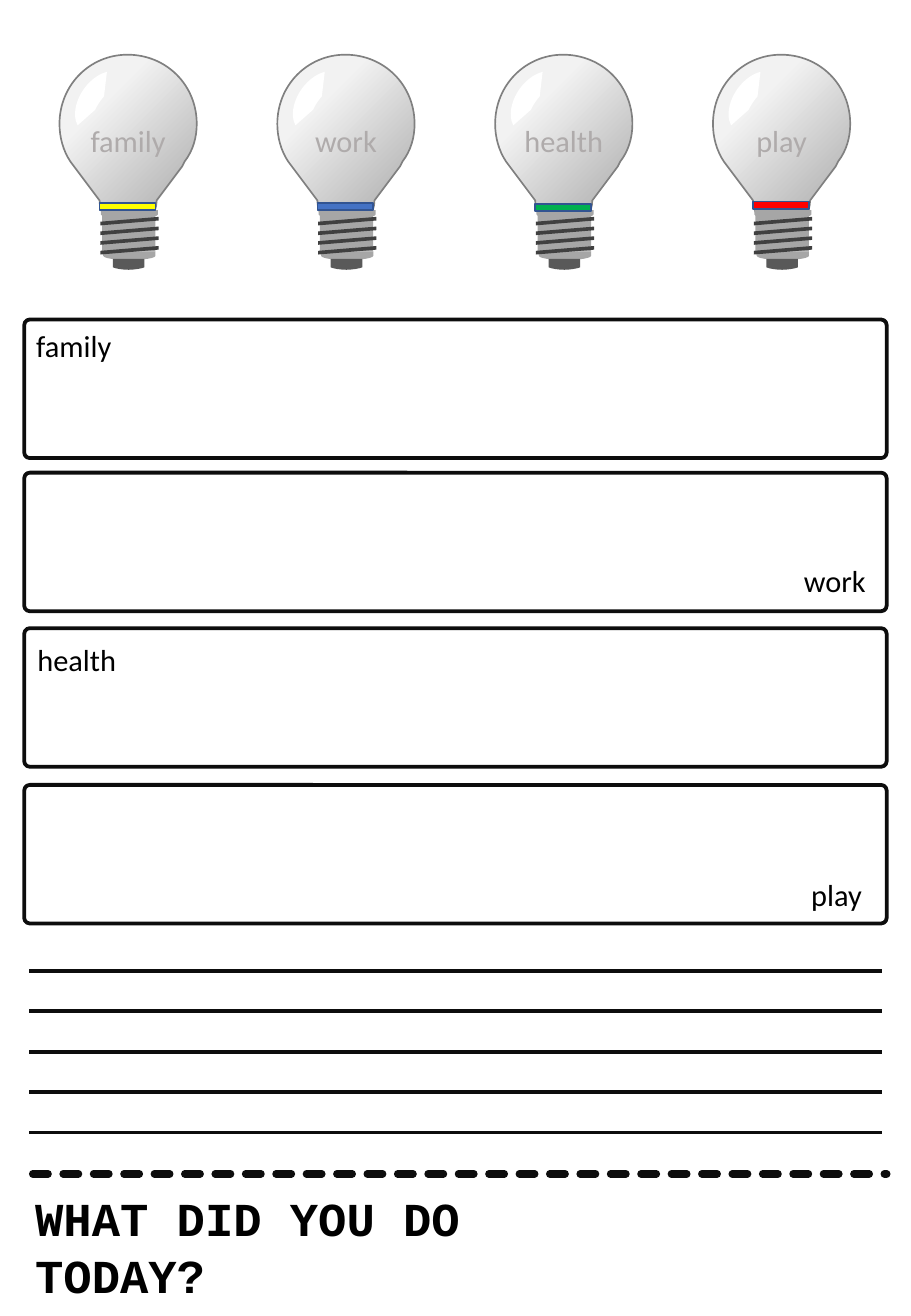
from dataclasses import dataclass

from lxml.etree import SubElement
from pptx import Presentation
from pptx.dml.color import RGBColor
from pptx.enum.dml import MSO_LINE
from pptx.enum.shapes import MSO_CONNECTOR, MSO_SHAPE as Preset
from pptx.enum.text import MSO_ANCHOR, MSO_AUTO_SIZE as AutoSize, PP_ALIGN
from pptx.oxml.ns import qn
from pptx.util import Inches, Pt


@dataclass(frozen=True)
class Theme:
    ink: str = "0D0D0D"
    text: str = "000000"
    bulb_text: str = "AFABAB"
    glass_light: str = "F2F2F2"
    glass_dark: str = "A6A6A6"
    glass_edge: str = "808080"
    socket: str = "A6A6A6"
    thread: str = "404040"
    contact: str = "595959"
    shine: str = "FFFFFF"
    band_edge: str = "325491"
    label_font: str = "Calibri"
    title_font: str = "Courier New"
    label_size: int = 18
    title_size: int = 28


THEME = Theme()

# Name, band colour, band top
BULBS = [
    ("family", "FFFF00", 1.67),
    ("work", "4472C4", 1.67),
    ("health", "00B050", 1.68),
    ("play", "FF0000", 1.66),
]
FIRST_BULB, LAST_BULB, BULB_TOP = 0.49, 5.87, 0.45

# Box top, then label name, left, top, width
BOXES = [
    (2.63, "family", 0.20, 2.64, 0.83),
    (3.89, "work", 6.52, 4.58, 0.72),
    (5.17, "health", 0.21, 5.23, 0.86),
    (6.46, "play", 6.58, 7.16, 0.62),
]

# Outlines: a start point, then segments of one point (line) or three (curve)
GLASS_START = (0.56, 0)
GLASS = [
    [(0.88, 0), (1.13, 0.25), (1.13, 0.57)],
    [(1.13, 0.68), (1.1, 0.79), (1.03, 0.88)],
    [(1.01, 0.92)],
    [(0.8, 1.2)],
    [(0.8, 1.3), (0.74, 1.38), (0.65, 1.41)],
    [(0.48, 1.41)],
    [(0.39, 1.38), (0.33, 1.3), (0.33, 1.2)],
    [(0.09, 0.88)],
    [(0.03, 0.79), (0, 0.68), (0, 0.57)],
    [(0, 0.25), (0.25, 0), (0.56, 0)],
]
CONTACT_START = (0, 0)
CONTACT = [
    [(0.26, 0)],
    [(0.26, 0.07)],
    [(0.24, 0.08), (0.17, 0.09), (0.13, 0.09)],
    [(0.08, 0.09), (0.02, 0.08), (0, 0.07)],
]


def rgb(code):
    return RGBColor.from_string(code)


def spread(first, last, count):
    return [first + (last - first) * i / (count - 1) for i in range(count)]


def write(shape, words, color, font=THEME.label_font, size=THEME.label_size,
          bold=False, align=PP_ALIGN.LEFT):
    shape.text_frame.text = words
    paragraph = shape.text_frame.paragraphs[0]
    paragraph.alignment = align
    paragraph.line_spacing = 1.0
    for run in paragraph.runs:
        run.font.name = font
        run.font.size = Pt(size)
        run.font.bold = bold
        run.font.color.rgb = rgb(color)


def paint(shape, fill=None, edge=None, weight=1):
    shape.shadow.inherit = False
    if fill:
        shape.fill.solid()
        shape.fill.fore_color.rgb = rgb(fill)
    else:
        shape.fill.background()
    if edge:
        shape.line.color.rgb = rgb(edge)
        shape.line.width = Pt(weight)
    else:
        shape.line.fill.background()


def add_preset(parent, preset, left, top, width, height, fill=None, edge=None,
               weight=1, rotation=0, adjust=()):
    shape = parent.shapes.add_shape(
        preset, Inches(left), Inches(top), Inches(width), Inches(height))
    paint(shape, fill, edge, weight)
    shape.rotation = rotation
    for index, value in enumerate(adjust):
        shape.adjustments[index] = value
    return shape


def add_outline(parent, left, top, start, segments):
    def place(point):
        return Inches(left + point[0]), Inches(top + point[1])

    builder = parent.shapes.build_freeform(*place(start))
    builder.add_line_segments([place(p) for s in segments for p in s], close=True)
    outline = builder.convert_to_shape()
    # Merge the three steps of each curve into one Bezier segment
    steps = iter(list(outline._element.iter(qn("a:lnTo"))))
    for segment in segments:
        first, *others = [next(steps) for _ in segment]
        if others:
            first.tag = qn("a:cubicBezTo")
            for step in others:
                first.append(step[0])
                step.getparent().remove(step)
    return outline


def add_rule(slide, left, right, y, weight, dashed=False):
    rule = slide.shapes.add_connector(
        MSO_CONNECTOR.STRAIGHT, Inches(left), Inches(y), Inches(right), Inches(y))
    rule.line.color.rgb = rgb(THEME.ink)
    rule.line.width = Pt(weight)
    properties = rule._element.spPr
    if dashed:
        rule.line.dash_style = MSO_LINE.SQUARE_DOT
        properties.find(qn("a:ln")).set("cap", "rnd")
    SubElement(properties, qn("a:effectLst"))


def add_glass(bulb, left, top, name):
    glass = add_outline(bulb, left, top, GLASS_START, GLASS)
    paint(glass, edge=THEME.glass_edge)
    glass.fill.gradient()
    glass.fill.gradient_angle = 315
    shades = [(0.29, THEME.glass_light), (1.0, THEME.glass_dark)]
    for stop, (position, shade) in zip(glass.fill.gradient_stops, shades):
        stop.position = position
        stop.color.rgb = rgb(shade)
    frame = glass.text_frame
    frame.margin_left = frame.margin_right = 0
    frame.vertical_anchor = MSO_ANCHOR.MIDDLE
    write(glass, name, THEME.bulb_text, align=PP_ALIGN.CENTER)


def add_bulb(slide, left, top, name, band_color, band_top):
    bulb = slide.shapes.add_group_shape()
    add_glass(bulb, left, top, name)

    # Socket with rounded rims
    add_preset(bulb, Preset.RECTANGLE, left + 0.35, top + 1.32, 0.44, 0.3, THEME.socket)
    for rim_top, rim_length in ((1.08, 0.47), (1.44, 0.43)):
        add_preset(bulb, Preset.FLOWCHART_DELAY, left + 0.54, top + rim_top,
                   0.07, rim_length, THEME.socket, rotation=90)

    # Bottom contact
    paint(add_outline(bulb, left + 0.44, top + 1.68, CONTACT_START, CONTACT),
          THEME.contact)

    # Screw threads
    for turn in range(4):
        thread = add_preset(bulb, Preset.PARALLELOGRAM, left + 0.54,
                            top + 1.13 + 0.08 * turn, 0.07, 0.48, THEME.thread,
                            rotation=270, adjust=[0.57])
        thread._element.spPr.find(qn("a:xfrm")).set("flipH", "1")

    # Shine on the glass and coloured band
    add_preset(bulb, Preset.BLOCK_ARC, left + 0.07, top + 0.2, 0.58, 0.39,
               THEME.shine, rotation=305.8, adjust=[115.65, 198.67, 0.43])
    add_preset(bulb, Preset.RECTANGLE, left + 0.33, band_top, 0.46, 0.06,
               band_color, THEME.band_edge)


def add_label(slide, name, left, top, width):
    label = slide.shapes.add_textbox(
        Inches(left), Inches(top), Inches(width), Inches(0.4))
    label.text_frame.word_wrap = False
    label.text_frame.auto_size = AutoSize.SHAPE_TO_FIT_TEXT
    write(label, name, THEME.text)


def place_title(slide, words):
    title = slide.shapes.title
    title.left, title.top = Inches(0.19), Inches(9.74)
    title.width, title.height = Inches(3.87), Inches(1.04)
    title.text_frame.word_wrap = True
    title.text_frame.auto_size = AutoSize.SHAPE_TO_FIT_TEXT
    title.text_frame.vertical_anchor = MSO_ANCHOR.TOP
    write(title, words, THEME.text, THEME.title_font, THEME.title_size, bold=True)


def main():
    deck = Presentation()
    deck.slide_width, deck.slide_height = Inches(7.5), Inches(10.83)
    slide = deck.slides.add_slide(deck.slide_layouts[5])

    # Question below the dashed cut line
    place_title(slide, "WHAT DID YOU DO TODAY?")
    add_rule(slide, 0.27, 7.3, 9.66, 4.5, dashed=True)

    # Row of bulbs
    lefts = spread(FIRST_BULB, LAST_BULB, len(BULBS))
    for left, (name, band_color, band_top) in zip(lefts, BULBS):
        add_bulb(slide, left, BULB_TOP, name, band_color, band_top)

    # Writing boxes
    for box_top, name, left, top, width in BOXES:
        add_preset(slide, Preset.ROUNDED_RECTANGLE, 0.2, box_top, 7.1, 1.14,
                   edge=THEME.ink, weight=2.25, adjust=[0.04])
        add_label(slide, name, left, top, width)

    # Ruled lines, evenly spread
    for y in spread(7.99, 9.32, 5):
        add_rule(slide, 0.24, 7.26, y, 2.25)

    deck.save("out.pptx")


main()
